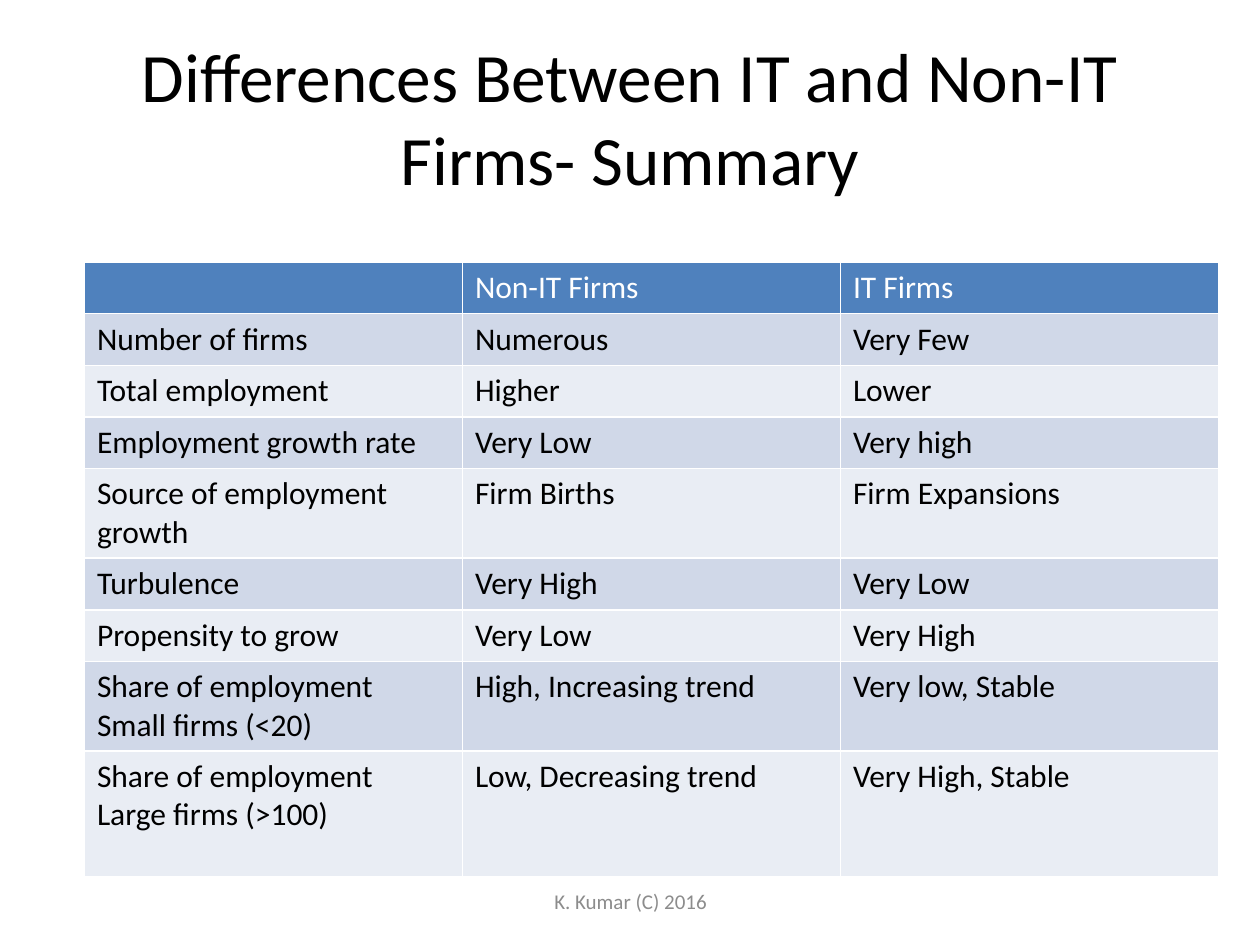
import pptx
import pptx.util
import pptx.dml.color
import pptx.enum.text

Inches = pptx.util.Inches
Pt = pptx.util.Pt
RGBColor = pptx.dml.color.RGBColor
PP_ALIGN = pptx.enum.text.PP_ALIGN
MSO_ANCHOR = pptx.enum.text.MSO_ANCHOR

BLACK = RGBColor(0x00, 0x00, 0x00)
WHITE = RGBColor(0xFF, 0xFF, 0xFF)
GREY = RGBColor(0x8C, 0x8C, 0x8C)
HEADER_BLUE = RGBColor(0x4F, 0x81, 0xBD)
BAND_DARK = RGBColor(0xD0, 0xD8, 0xE8)
BAND_LIGHT = RGBColor(0xE9, 0xED, 0xF4)

COMPARISON = [
    ("", "Non-IT Firms", "IT Firms"),
    ("Number of firms", "Numerous", "Very Few"),
    ("Total employment", "Higher ", "Lower"),
    ("Employment growth rate", "Very Low", "Very high"),
    ("Source of employment growth", "Firm Births", "Firm Expansions"),
    ("Turbulence", "Very High", "Very Low"),
    ("Propensity to grow", "Very Low ", "Very High"),
    ("Share of employment\nSmall firms (<20)", "High, Increasing trend", "Very low, Stable"),
    ("Share of employment\nLarge firms (>100)", "Low, Decreasing trend", "Very High, Stable"),
]
ROW_HEIGHT = 0.41
TALL_ROWS = {4: 0.71, 7: 0.71, 8: 1.0}


def format_text(frame, size, color, alignment=PP_ALIGN.LEFT):
    for para in frame.paragraphs:
        para.alignment = alignment
        for span in para.runs:
            span.font.name = "Calibri"
            span.font.size = Pt(size)
            span.font.bold = False
            span.font.color.rgb = color


def fill_centered(box, text, size, color):
    frame = box.text_frame
    frame.word_wrap = True
    frame.vertical_anchor = MSO_ANCHOR.MIDDLE
    frame.text = text
    format_text(frame, size, color, PP_ALIGN.CENTER)


def set_title(page, text):
    title = page.shapes.title
    title.left, title.top = Inches(0.5), Inches(0.3)
    title.width, title.height = Inches(9), Inches(1.25)
    fill_centered(title, text, 39.6, BLACK)


def add_footer(page, text):
    box = page.shapes.add_textbox(Inches(3.42), Inches(6.95), Inches(3.17), Inches(0.4))
    fill_centered(box, text, 12, GREY)


def row_colors(index):
    if index == 0:
        return HEADER_BLUE, WHITE
    return (BAND_DARK if index % 2 else BAND_LIGHT), BLACK


def add_comparison_table(page, records):
    heights = [TALL_ROWS.get(index, ROW_HEIGHT) for index in range(len(records))]
    table = page.shapes.add_table(
        len(records), len(records[0]),
        Inches(0.67), Inches(2.08), Inches(9), Inches(sum(heights)),
    ).table
    for index, record in enumerate(records):
        table.rows[index].height = Inches(heights[index])
        fill_color, text_color = row_colors(index)
        for column, text in enumerate(record):
            cell = table.cell(index, column)
            cell.fill.solid()
            cell.fill.fore_color.rgb = fill_color
            cell.text_frame.text = text
            format_text(cell.text_frame, 18, text_color)


def main():
    deck = pptx.Presentation()
    deck.slide_width, deck.slide_height = Inches(10), Inches(7.5)
    page = deck.slides.add_slide(deck.slide_layouts[5])
    set_title(page, "Differences Between IT and Non-IT Firms- Summary")
    add_comparison_table(page, COMPARISON)
    add_footer(page, "K. Kumar (C) 2016")
    deck.save("out.pptx")


main()
